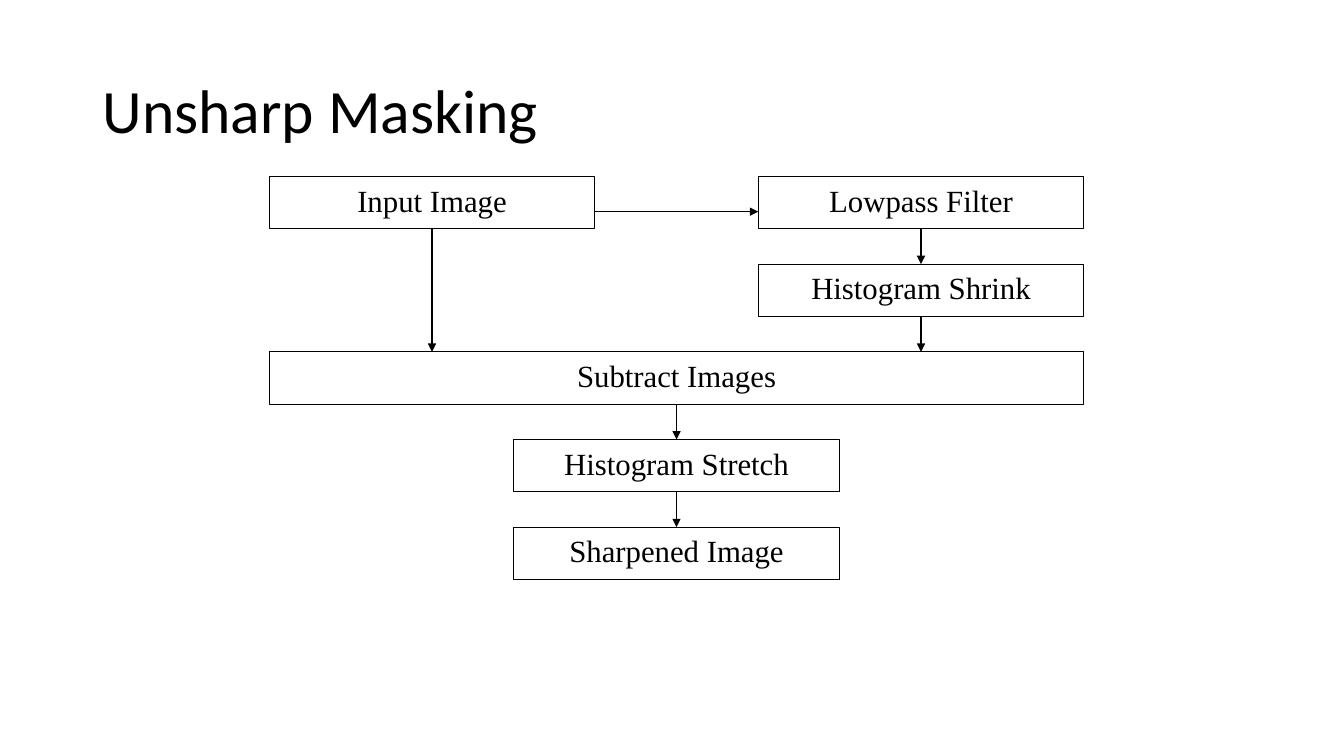
from lxml import etree
from pptx import Presentation
from pptx import util as u
from pptx.dml.color import RGBColor
from pptx.enum import shapes, text
from pptx.oxml.ns import qn

TITLE = "Unsharp Masking"
STEPS = {
    "input": ("Input Image", "left", 0),
    "lowpass": ("Lowpass Filter", "right", 0),
    "shrink": ("Histogram Shrink", "right", 1),
    "subtract": ("Subtract Images", "full", 2),
    "stretch": ("Histogram Stretch", "middle", 3),
    "sharpened": ("Sharpened Image", "middle", 4),
}
DOWNWARD_FLOWS = [
    ("stretch", "sharpened"),
    ("subtract", "stretch"),
    ("shrink", "subtract"),
    ("lowpass", "shrink"),
    ("input", "subtract"),
]
SIDEWAYS_FLOW = ("input", "lowpass")

THEME = {
    "ink": RGBColor(0, 0, 0),
    "paper": RGBColor(255, 255, 255),
    "rule": u.Pt(0.75),
    "title": {"name": "Calibri", "size": u.Pt(44)},
    "step": {"name": "Times New Roman", "size": u.Pt(22)},
}

LEFT, TOP, FULL_WIDTH = 2.67, 1.75, 8.08
STEP_WIDTH, STEP_HEIGHT, ROW_PITCH = 3.23, 0.52, 0.87
SIDEWAYS_DROP = 0.35
SPANS = {
    "left": (LEFT, STEP_WIDTH),
    "right": (LEFT + FULL_WIDTH - STEP_WIDTH, STEP_WIDTH),
    "middle": (LEFT + (FULL_WIDTH - STEP_WIDTH) / 2, STEP_WIDTH),
    "full": (LEFT, FULL_WIDTH),
}


def bounds(step):
    _, span, row = STEPS[step]
    left, width = SPANS[span]
    return left, TOP + row * ROW_PITCH, width, STEP_HEIGHT


def write(frame, wording, style, frame_format, paragraph_format):
    paragraph = frame.paragraphs[0]
    run = paragraph.add_run()
    run.text = wording
    run.font.color.rgb = THEME["ink"]
    for target, values in (
        (frame, {"word_wrap": True, **frame_format}),
        (paragraph, paragraph_format),
        (run.font, THEME[style]),
    ):
        for key, value in values.items():
            setattr(target, key, value)


def outline(part):
    part.line.color.rgb = THEME["ink"]
    part.line.width = THEME["rule"]


def add_step(slide, step):
    box = slide.shapes.add_shape(
        shapes.MSO_SHAPE.RECTANGLE, *map(u.Inches, bounds(step))
    )
    box.shadow.inherit = False
    box.fill.solid()
    box.fill.fore_color.rgb = THEME["paper"]
    outline(box)
    write(
        box.text_frame, STEPS[step][0], "step",
        {"vertical_anchor": text.MSO_ANCHOR.TOP},
        {"alignment": text.PP_ALIGN.CENTER},
    )


def add_arrow(slide, *ends):
    arrow = slide.shapes.add_connector(
        shapes.MSO_CONNECTOR.STRAIGHT, *map(u.Inches, ends)
    )
    outline(arrow)
    etree.SubElement(arrow.line._get_or_add_ln(), qn("a:tailEnd"), type="triangle")
    etree.SubElement(arrow._element.spPr, qn("a:effectLst"))


def main():
    deck = Presentation()
    deck.slide_width, deck.slide_height = u.Inches(13.33), u.Inches(7.5)
    slide = deck.slides.add_slide(deck.slide_layouts[6])

    heading = slide.shapes.add_textbox(*map(u.Inches, (0.92, 0.4, 11.5, 1.45)))
    write(
        heading.text_frame, TITLE, "title",
        {"vertical_anchor": text.MSO_ANCHOR.MIDDLE},
        {"line_spacing": 0.9},
    )
    for step in STEPS:
        add_step(slide, step)

    for source, target in DOWNWARD_FLOWS:
        narrower = min(bounds(source), bounds(target), key=lambda box: box[2])
        center = narrower[0] + narrower[2] / 2
        start = bounds(source)[1] + STEP_HEIGHT
        add_arrow(slide, center, start, center, bounds(target)[1])

    source, target = map(bounds, SIDEWAYS_FLOW)
    level = TOP + SIDEWAYS_DROP
    add_arrow(slide, source[0] + source[2], level, target[0], level)

    deck.save("out.pptx")


if __name__ == "__main__":
    main()
